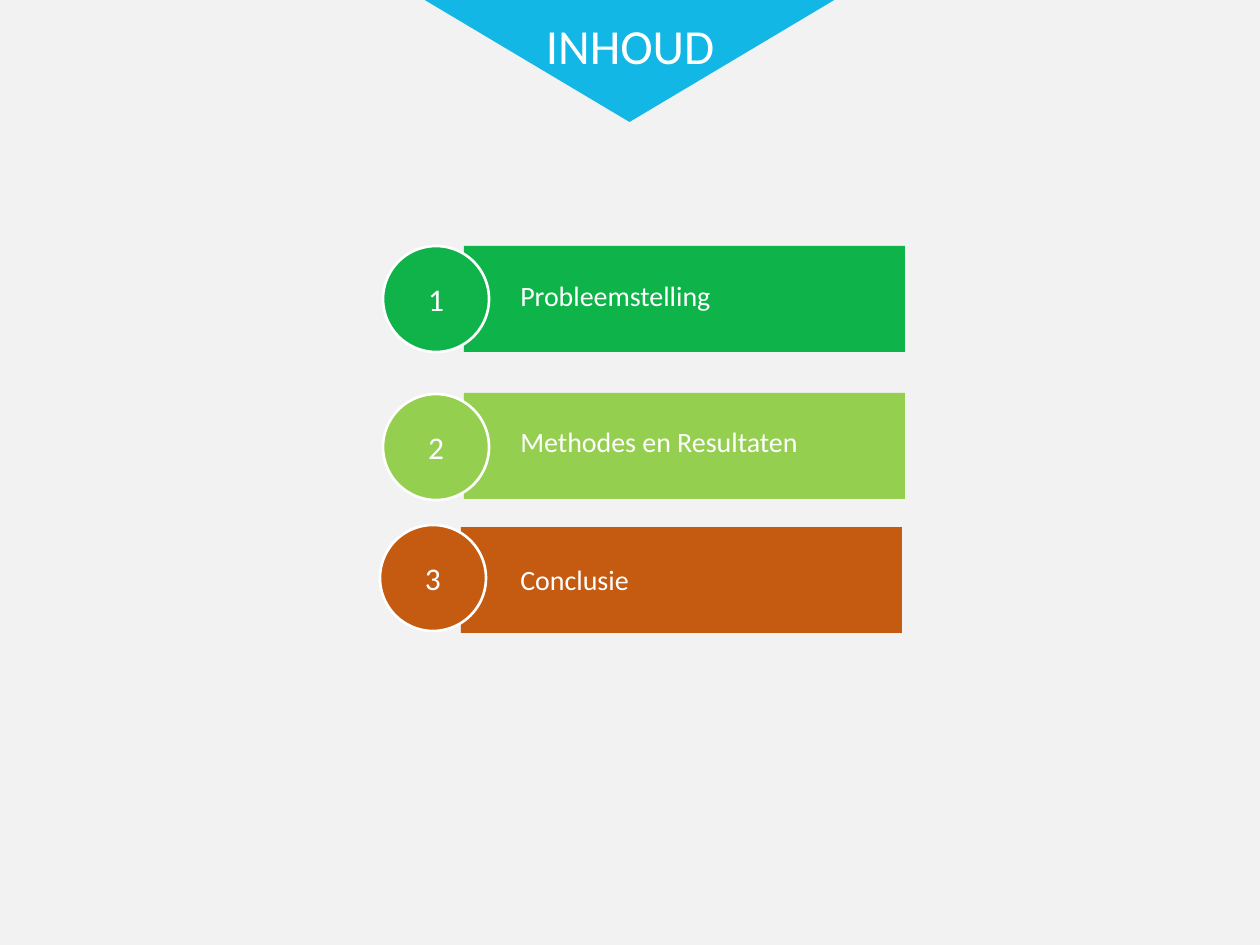
import pptx
import pptx.dml.color
import pptx.enum.shapes
import pptx.enum.text
import pptx.util

SHAPE = pptx.enum.shapes.MSO_SHAPE
ALIGN = pptx.enum.text.PP_ALIGN
ANCHOR = pptx.enum.text.MSO_ANCHOR
FIT = pptx.enum.text.MSO_AUTO_SIZE.SHAPE_TO_FIT_TEXT


def px(n):
    return pptx.util.Emu(round(n * 914400 / 126))


def color(value):
    return pptx.dml.color.RGBColor.from_string(value)


class Deck:
    font = "Calibri"
    white = "FFFFFF"

    def __init__(self, prs, background):
        self.s = prs.slides.add_slide(prs.slide_layouts[5])
        fill = self.s.background.fill
        fill.solid()
        fill.fore_color.rgb = color(background)

    def shape(self, parent, kind, box, fill, line=None):
        sp = parent.shapes.add_shape(kind, *map(px, box))
        sp.shadow.inherit = False
        sp.fill.solid()
        sp.fill.fore_color.rgb = color(fill)
        if line:
            sp.line.color.rgb = color(line)
            sp.line.width = pptx.util.Pt(1.5)
        else:
            sp.line.fill.background()
        return sp

    def set_text(self, sp, text, size, align, **frame):
        tf = sp.text_frame
        for name, value in {"word_wrap": True, **frame}.items():
            setattr(tf, name, value)
        p = tf.paragraphs[0]
        p.alignment = align
        r = p.add_run()
        r.text = text
        style = {"name": self.font, "size": pptx.util.Pt(size)}
        for name, value in style.items():
            setattr(r.font, name, value)
        r.font.color.rgb = color(self.white)

    def title(self, text, box):
        sp = self.s.shapes.title
        for name, value in zip(("left", "top", "width", "height"), box):
            setattr(sp, name, px(value))
        self.set_text(sp, text, 28, ALIGN.CENTER,
                      vertical_anchor=ANCHOR.TOP, auto_size=FIT)
        self.s.shapes._spTree.append(sp._element)

    def banner(self, box, fill):
        sp = self.shape(self.s, SHAPE.ISOSCELES_TRIANGLE, box, fill)
        sp.rotation = 180

    def bar(self, number, left, bar_top, circle_top, fill, circle_fill):
        group = self.s.shapes.add_group_shape()
        self.shape(group, SHAPE.RECTANGLE, (left + 81, bar_top, 441, 106), fill)
        sp = self.shape(group, SHAPE.OVAL, (left, circle_top, 106, 106),
                        circle_fill, self.white)
        self.set_text(sp, str(number), 18, ALIGN.CENTER,
                      vertical_anchor=ANCHOR.MIDDLE)

    def label(self, text, top):
        sp = self.s.shapes.add_textbox(*map(px, (508, top, 328, 47)))
        self.set_text(sp, text, 16, ALIGN.LEFT, auto_size=FIT)


def main():
    prs = pptx.Presentation()
    prs.slide_width, prs.slide_height = px(1260), px(945)
    deck = Deck(prs, "F2F2F2")
    deck.banner((423, -1, 413, 123), "12B7E5")
    chapters = [
        ("Probleemstelling", 272, 383, 246, 246, "0EB349", "10B349"),
        ("Methodes en Resultaten", 418, 383, 393, 394, "94CF50", "94CF50"),
        ("Conclusie", 556, 380, 527, 525, "C55A11", "C55A11"),
    ]
    for number, (_, _, *bar) in enumerate(chapters, 1):
        deck.bar(number, *bar)
    for text, top, *_ in chapters:
        deck.label(text, top)
    deck.title("INHOUD", (514, 9, 232, 72))
    prs.save("out.pptx")


if __name__ == "__main__":
    main()
